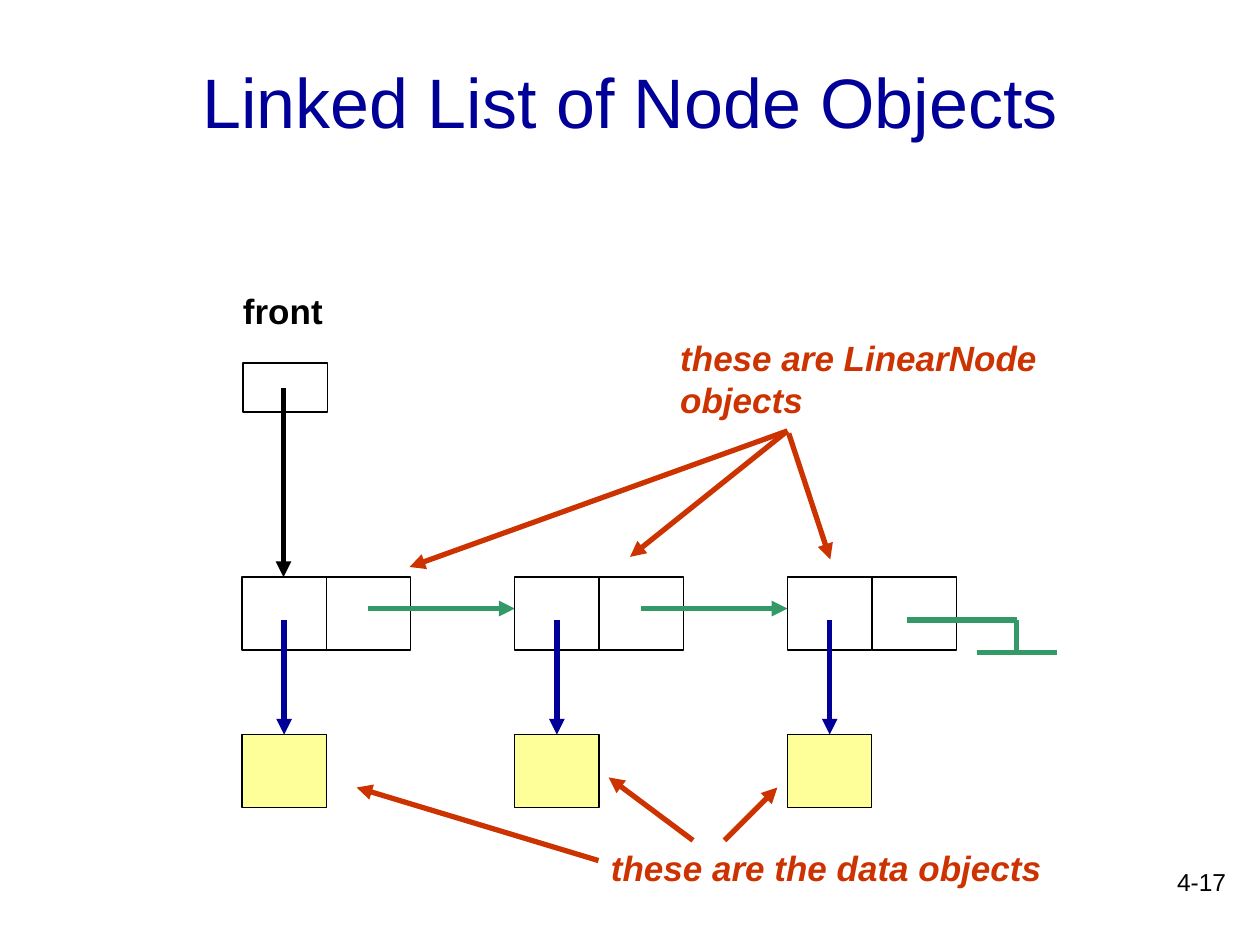
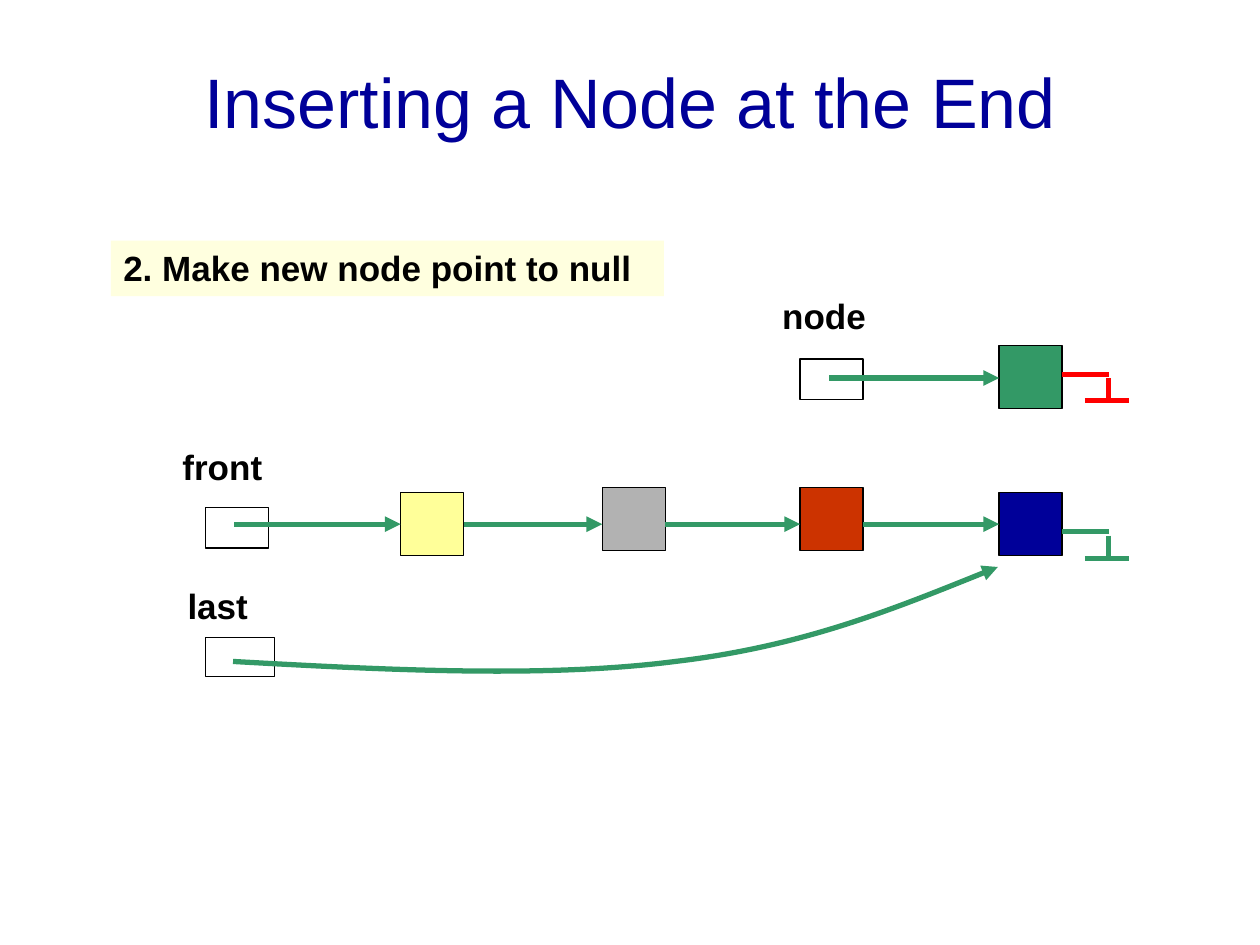
from itertools import pairwise

from lxml.etree import SubElement
from pptx import Presentation
from pptx.dml.color import RGBColor
from pptx.enum.shapes import MSO_CONNECTOR as Connector, MSO_SHAPE as Shape
from pptx.enum.text import MSO_ANCHOR as Anchor, PP_ALIGN as Align
from pptx.oxml.ns import qn
from pptx.util import Inches, Pt

FONT = "Arial"
BLACK, NAVY, GREEN, RUST = "000000", "000099", "339966", "CC3300"
YELLOW, CREAM, GRAY, RED = "FFFF99", "FFFFDF", "B2B2B2", "FF0000"
TITLE_BOX = (0.75, 0.17, 8.5, 1.25)


def rgb(color):
    return RGBColor.from_string(color)


def inches(*lengths):
    return [Inches(length) for length in lengths]


def write(shape, text, size=20, color=BLACK, bold=True, italic=False,
          align=Align.LEFT, anchor=Anchor.TOP):
    frame = shape.text_frame
    frame.word_wrap = True
    frame.vertical_anchor = anchor
    paragraph = frame.paragraphs[0]
    paragraph.alignment = align
    run = paragraph.add_run()
    run.text = text
    font = run.font
    font.name, font.size, font.bold, font.italic = FONT, Pt(size), bold, italic
    font.color.rgb = rgb(color)


def add_text(slide, box, text, **style):
    write(slide.shapes.add_textbox(*inches(*box)), text, **style)


def add_box(slide, box, fill=None, line=BLACK):
    rect = slide.shapes.add_shape(Shape.RECTANGLE, *inches(*box))
    rect.shadow.inherit = False
    if fill:
        rect.fill.solid()
        rect.fill.fore_color.rgb = rgb(fill)
    else:
        rect.fill.background()
    if line:
        rect.line.color.rgb = rgb(line)
        rect.line.width = Pt(0.75)
    else:
        rect.line.fill.background()
    return rect


def style_stroke(shape, color, arrow):
    shape.line.color.rgb = rgb(color)
    shape.line.width = Pt(3)
    if arrow:
        outline = shape._element.spPr.find(qn("a:ln"))
        SubElement(outline, qn("a:tailEnd"), type="triangle")


def add_line(slide, start, end, color, arrow=True):
    line = slide.shapes.add_connector(Connector.STRAIGHT, *inches(*start, *end))
    style_stroke(line, color, arrow)
    SubElement(line._element.spPr, qn("a:effectLst"))


def add_curve(slide, points, color):
    """Draw an arrow of joined Bezier curves: a start, then three points per curve."""
    start, *rest = [inches(*point) for point in points]
    builder = slide.shapes.build_freeform(*start, scale=1.0)
    builder.add_line_segments(rest, close=False)
    curve = builder.convert_to_shape()
    curve.shadow.inherit = False
    curve.fill.background()
    style_stroke(curve, color, arrow=True)

    segments = list(curve._element.iter(qn("a:lnTo")))
    outline = segments[0].getparent()
    for first in range(0, len(segments), 3):
        bezier = SubElement(outline, qn("a:cubicBezTo"))
        for segment in segments[first:first + 3]:
            bezier.append(segment[0])
            outline.remove(segment)


def add_null_mark(slide, left, top, reach, drop, bar, color, gap=0):
    """Draw a pointer ending in a ground bar; bar gives its ends beside the stem."""
    stem, bottom = left + reach, top + drop
    add_line(slide, (left, top), (stem, top), color, arrow=False)
    add_line(slide, (stem, top + gap), (stem, bottom), color, arrow=False)
    add_line(slide, (stem + bar[0], bottom), (stem + bar[1], bottom), color, arrow=False)


def add_titled_slide(deck, title):
    slide = deck.slides.add_slide(deck.slide_layouts[5])
    heading = slide.shapes.title
    heading.left, heading.top, heading.width, heading.height = inches(*TITLE_BOX)
    write(heading, title, size=40, color=NAVY, bold=False,
          align=Align.CENTER, anchor=Anchor.MIDDLE)
    return slide


def add_node_chain(slide, left, top, pitch, count=3):
    """Draw nodes of a data cell and a link cell, each above its data object."""
    width, height, data_drop = 0.67, 0.58, 1.25
    for index in range(count):
        x = left + index * pitch
        add_box(slide, (x, top + data_drop, width, height), fill=YELLOW)
        for cell_left in (x, x + width):
            add_box(slide, (cell_left, top, width, height))
        middle = x + width / 2
        add_line(slide, (middle, top + 0.34), (middle, top + data_drop), NAVY)
        if index < count - 1:
            add_line(slide, (x + 1, top + 0.25), (x + pitch, top + 0.25), GREEN)
    last = left + (count - 1) * pitch
    add_null_mark(slide, last + 0.95, top + 0.34, reach=0.87, drop=0.26,
                  bar=(-0.32, 0.32), color=GREEN)


def add_callout(slide, box, text, arrows):
    add_text(slide, box, text, color=RUST, italic=True)
    for start, end in arrows:
        add_line(slide, start, end, RUST)


def build_node_objects(deck):
    slide = add_titled_slide(deck, "Linked List of Node Objects")
    add_text(slide, (7.75, 6.83, 2.08, 0.5), "4-17", size=14, bold=False,
             align=Align.RIGHT)
    add_text(slide, (1.83, 2.25, 1.17, 0.43), "front")
    add_box(slide, (1.93, 2.88, 0.67, 0.39))
    add_node_chain(slide, left=1.92, top=4.58, pitch=(6.25 - 1.92) / 2)
    add_line(slide, (2.25, 3.08), (2.25, 4.58), BLACK)
    add_callout(slide, (5.3, 2.62, 3.39, 0.77), "these are LinearNode objects", [
        ((6.25, 3.42), (3.25, 4.5)),
        ((6.25, 3.42), (5, 4.42)),
        ((6.26, 3.44), (6.59, 4.44)),
    ])
    add_callout(slide, (4.75, 6.67, 4.08, 0.43), "these are the data objects", [
        ((5.75, 6.67), (6.17, 6.25)),
        ((5.5, 6.67), (4.83, 6.17)),
        ((4.75, 6.83), (2.83, 6.25)),
    ])


def add_list_row(slide, top, pointer, nodes, link_y, null_y, null_color):
    """Draw a pointer box linked through nodes, given as (left, drop, color)."""
    size = 0.5
    pointer_left, pointer_drop = pointer
    add_box(slide, (pointer_left, top + pointer_drop, size, 0.32))
    for left, drop, color in nodes:
        add_box(slide, (left, top + drop, size, size), fill=color)
    lefts = [left for left, *_ in nodes]
    add_line(slide, (pointer_left + 0.23, top + link_y), (lefts[0], top + link_y), GREEN)
    for left, following in pairwise(lefts):
        add_line(slide, (left + size, top + link_y), (following, top + link_y), GREEN)
    add_null_mark(slide, lefts[-1] + size, top + null_y, reach=0.37, drop=0.21,
                  bar=(-0.19, 0.16), color=null_color, gap=0.03)


def build_insertion(deck):
    slide = add_titled_slide(deck, "Inserting a Node at the End")
    step = add_box(slide, (0.88, 1.91, 4.39, 0.44), fill=CREAM, line=None)
    write(step, "2. Make new node point to null")

    add_text(slide, (6.11, 2.29, 1, 0.43), "node")
    add_list_row(slide, 2.74, pointer=(6.35, 0.11), nodes=[(7.93, 0, GREEN)],
                 link_y=0.26, null_y=0.23, null_color=RED)

    add_text(slide, (1.35, 3.49, 1, 0.43), "front")
    add_list_row(slide, 3.87, pointer=(1.63, 0.16), nodes=[
        (3.18, 0.04, YELLOW), (4.78, 0, GRAY), (6.35, 0, RUST), (7.93, 0.04, NAVY),
    ], link_y=0.29, null_y=0.35, null_color=GREEN)

    add_text(slide, (1.39, 4.59, 1.33, 0.43), "last")
    add_box(slide, (1.63, 5.06, 0.55, 0.31))
    add_curve(slide, [(1.85, 5.25), (3.1, 5.32), (4.35, 5.38), (5.36, 5.25),
                      (6.37, 5.13), (7.15, 4.81), (7.92, 4.5)], GREEN)


def main():
    deck = Presentation()
    deck.slide_width, deck.slide_height = inches(10, 7.5)
    build_node_objects(deck)
    build_insertion(deck)
    deck.save("out.pptx")


if __name__ == "__main__":
    main()
